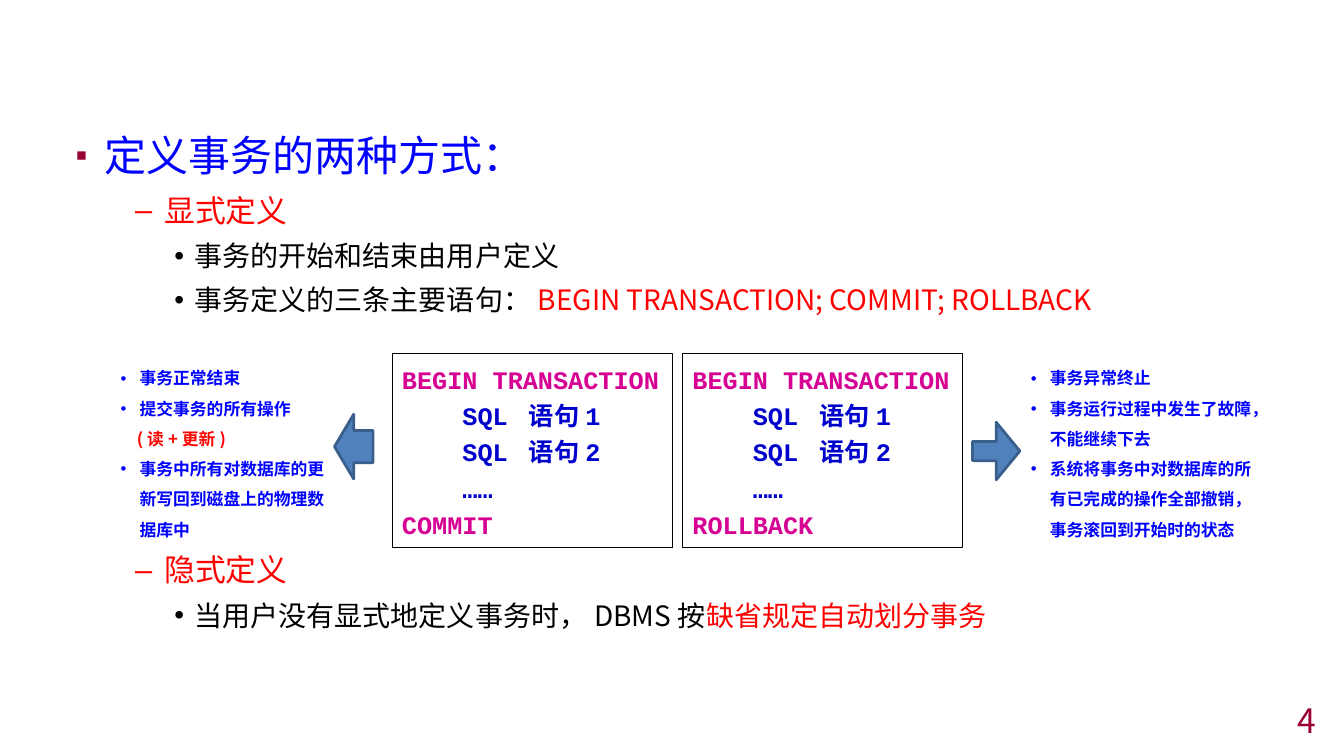
from lxml.etree import SubElement
from pptx import Presentation
from pptx.dml.color import RGBColor
from pptx.enum.shapes import MSO_SHAPE
from pptx.enum.text import MSO_ANCHOR, MSO_AUTO_SIZE, PP_ALIGN
from pptx.oxml.ns import qn
from pptx.util import Cm, Pt

BLUE = RGBColor(0x00, 0x00, 0xFF)
RED = RGBColor(0xFF, 0x00, 0x00)
BLACK = RGBColor(0x00, 0x00, 0x00)
MAROON = RGBColor(0x99, 0x00, 0x33)
MAGENTA = RGBColor(0xD6, 0x00, 0x93)
NAVY = RGBColor(0x00, 0x00, 0xCC)
STEEL = RGBColor(0x4F, 0x81, 0xBD)
STEEL_DARK = RGBColor(0x3A, 0x5F, 0x8C)
SANS, MONO = "Noto Sans CJK SC", "Courier New"

LEVELS = [
    dict(size=30, bullet="▪", left=0.74, hang=0.74),
    dict(size=22, bullet="–", left=2.24, hang=0.74),
    dict(size=20, bullet="•", left=3.0, hang=0.51),
]
DIAGRAM_GAP = 164
OUTLINE = [
    (0, [("定义事务的两种方式：", BLUE)], 6),
    (1, [("显式定义", RED)], 4.4),
    (2, [("事务的开始和结束由用户定义", BLACK)], 4),
    (2, [("事务定义的三条主要语句：", BLACK),
         ("BEGIN TRANSACTION; COMMIT; ROLLBACK", RED)], 4),
    (1, [("隐式定义", RED)], DIAGRAM_GAP),
    (2, [("当用户没有显式地定义事务时，DBMS按", BLACK),
         ("缺省规定自动划分事务", RED)], 4),
]
STATEMENTS = ["    SQL 语句1", "    SQL 语句2", "    ……"]
CODE_BOXES = [(9.88, "COMMIT"), (17.2, "ROLLBACK")]
NOTES = [
    (2.79, 5.94, [("事务正常结束", True), ("提交事务的所有操作", True),
                  ("(读+更新)", False),
                  ("事务中所有对数据库的更新写回到磁盘上的物理数据库中", True)]),
    (25.73, 6.15, [("事务异常终止", True),
                   ("事务运行过程中发生了故障，不能继续下去", True),
                   ("系统将事务中对数据库的所有已完成的操作全部撤销，事务滚回到开始时的状态", True)]),
]
ARROWS = [(8.43, 10.44, 0.97, 1.63, 0, 0.5), (24.51, 10.64, 1.19, 1.45, 180, 0.334)]
ROW_TOP, ROW_HEIGHT = 8.9, 4.88


def add_run(p, text, size, color, font=SANS, bold=False):
    """Add a formatted run to a paragraph."""
    r = p.add_run()
    r.text = text
    r.font.size, r.font.name, r.font.bold = Pt(size), font, bold
    r.font.color.rgb = color
    SubElement(r._r.get_or_add_rPr(), qn("a:ea"), typeface=SANS)


def set_indent(p, left, hang=0, bullet=None, color=None, percent=None):
    """Set the indent and bullet of a paragraph."""
    pPr = p._p.get_or_add_pPr()
    pPr.set("marL", str(Cm(left)))
    pPr.set("indent", str(-Cm(hang)))
    if color is not None:
        SubElement(SubElement(pPr, qn("a:buClr")), qn("a:srgbClr"), val=str(color))
    if percent:
        SubElement(pPr, qn("a:buSzPct"), val=str(percent * 1000))
    if bullet:
        SubElement(pPr, qn("a:buFont"), typeface="Arial")
        SubElement(pPr, qn("a:buChar"), char=bullet)
    else:
        SubElement(pPr, qn("a:buNone"))


def paragraphs(tf, items):
    """Yield one paragraph of the text frame with each item."""
    for i, item in enumerate(items):
        yield (tf.add_paragraph() if i else tf.paragraphs[0]), item


def add_outline(s):
    """Fill the body placeholder with the outline."""
    body = s.placeholders[1]
    body.left, body.top, body.width, body.height = Cm(1.65), Cm(2.97), Cm(30.58), Cm(15.19)
    tf = body.text_frame
    tf.auto_size = MSO_AUTO_SIZE.NONE
    for i, (p, (level, runs, before)) in enumerate(paragraphs(tf, OUTLINE)):
        style = LEVELS[level]
        p.level = level
        top = level == 0
        set_indent(p, style["left"], style["hang"], style["bullet"],
                   MAROON if top else None, 80 if top else None)
        p.line_spacing = 1.14
        p.space_before = Pt(before if i else 0)
        for text, color in runs:
            add_run(p, text, style["size"], color)


def add_code_box(s, left, ending):
    """Add a framed transaction listing."""
    sp = s.shapes.add_shape(MSO_SHAPE.RECTANGLE, Cm(left), Cm(ROW_TOP), Cm(7.06), Cm(ROW_HEIGHT))
    sp.shadow.inherit = False
    sp.fill.background()
    sp.line.color.rgb, sp.line.width = BLACK, Pt(0.25)
    tf = sp.text_frame
    tf.word_wrap, tf.vertical_anchor = True, MSO_ANCHOR.TOP
    for p, text in paragraphs(tf, ["BEGIN TRANSACTION", *STATEMENTS, ending]):
        p.alignment, p.line_spacing = PP_ALIGN.LEFT, 1.2
        add_run(p, text, 18, NAVY if text in STATEMENTS else MAGENTA, MONO, True)


def add_note(s, left, width, lines):
    """Add the bulleted explanation beside a listing."""
    tf = s.shapes.add_textbox(Cm(left), Cm(ROW_TOP), Cm(width), Cm(ROW_HEIGHT)).text_frame
    tf.word_wrap = True
    for p, (text, bulleted) in paragraphs(tf, lines):
        if bulleted:
            set_indent(p, 0.48, 0.48, "•")
        else:
            set_indent(p, 0.41)
        p.line_spacing = 1.5
        add_run(p, text, 12, BLUE if bulleted else RED, bold=True)


def add_arrow(s, left, top, width, height, rotation, shaft):
    """Add a block arrow from a listing to its explanation."""
    sp = s.shapes.add_shape(MSO_SHAPE.LEFT_ARROW, Cm(left), Cm(top), Cm(width), Cm(height))
    sp.shadow.inherit = False
    sp.rotation, sp.adjustments[0] = rotation, shaft
    sp.fill.solid()
    sp.fill.fore_color.rgb = STEEL
    sp.line.color.rgb, sp.line.width = STEEL_DARK, Pt(2)


def main():
    """Build the slide and save it."""
    prs = Presentation()
    prs.slide_width, prs.slide_height = Cm(33.87), Cm(19.05)
    s = prs.slides.add_slide(prs.slide_layouts[1])
    title = s.shapes.title._element
    title.getparent().remove(title)
    add_outline(s)
    for box in CODE_BOXES:
        add_code_box(s, *box)
    for note in NOTES:
        add_note(s, *note)
    for arrow in ARROWS:
        add_arrow(s, *arrow)
    tf = s.shapes.add_textbox(Cm(26.24), Cm(17.75), Cm(7.19), Cm(0.79)).text_frame
    tf.vertical_anchor = MSO_ANCHOR.MIDDLE
    tf.word_wrap = True
    tf.paragraphs[0].alignment = PP_ALIGN.RIGHT
    add_run(tf.paragraphs[0], "4", 24, MAROON)
    prs.save("out.pptx")


if __name__ == "__main__":
    main()
